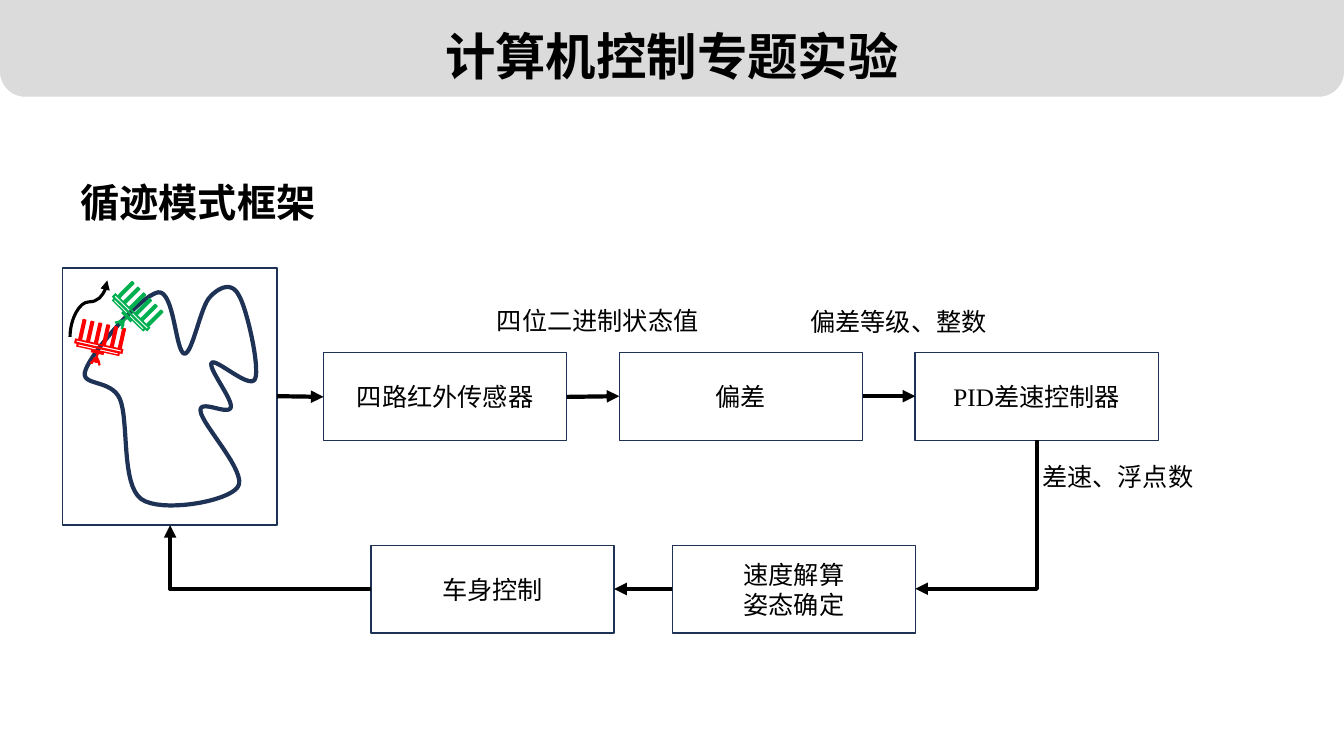
"""Build the slide showing the control loop of the line-following mode."""
import math
from dataclasses import dataclass

from lxml import etree
from pptx import Presentation
from pptx import util as u
from pptx.dml.color import RGBColor
from pptx.enum import shapes, text
from pptx.oxml.ns import qn


@dataclass(frozen=True)
class Theme:
    black: RGBColor = RGBColor(0, 0, 0)
    navy: RGBColor = RGBColor(0x1E, 0x32, 0x56)
    banner: RGBColor = RGBColor(0xDB, 0xDB, 0xDB)
    red: RGBColor = RGBColor(0xFF, 0, 0)
    green: RGBColor = RGBColor(0, 0xB0, 0x50)
    serif: str = "Times New Roman"
    sans: str = "Noto Sans CJK SC"
    title: int = 36
    heading: int = 28
    body: int = 18


theme = Theme()
presentation = Presentation()
presentation.slide_width, presentation.slide_height = u.Pt(960), u.Pt(540)
slide = presentation.slides.add_slide(presentation.slide_layouts[5])
canvas = slide.shapes


def write(shape, lines, size, font, align=text.PP_ALIGN.LEFT, bold=False, spacing=None):
    """Write one run per line into a shape."""
    frame = shape.text_frame
    for number, line in enumerate(lines):
        paragraph = frame.add_paragraph() if number else frame.paragraphs[0]
        paragraph.alignment = align
        paragraph.line_spacing = spacing
        run = paragraph.add_run()
        run.text = line
        run.font.name = font
        run.font.size = u.Pt(size)
        run.font.bold = bold
        run.font.color.rgb = theme.black
        east_asian = etree.SubElement(run.font._element, qn("a:ea"))
        east_asian.set("typeface", theme.sans)


def draw_outline(contours):
    """Draw closed contours, given in points, as one freeform."""
    builder = None
    for contour in contours:
        (x, y), *rest = [(u.Pt(px), u.Pt(py)) for px, py in contour]
        if builder is None:
            builder = canvas.build_freeform(x, y)
        else:
            builder.move_to(x, y)
        builder.add_line_segments(rest, close=True)
    outline = builder.convert_to_shape()
    outline.shadow.inherit = False
    return outline


banner = canvas.add_shape(shapes.MSO_SHAPE.ROUNDED_RECTANGLE,
                          u.Pt(0), u.Pt(-18.7), u.Pt(960), u.Pt(87.8))
banner.adjustments[0] = 0.206
banner.shadow.inherit = False
banner.fill.solid()
banner.fill.fore_color.rgb = theme.banner
banner.line.fill.background()
canvas._spTree.insert(2, banner._element)

title = canvas.title
title.left, title.top, title.width, title.height = u.Pt(296), u.Pt(-3.6), u.Pt(368), u.Pt(64)
title.text_frame.auto_size = text.MSO_AUTO_SIZE.NONE
title.text_frame.vertical_anchor = text.MSO_ANCHOR.MIDDLE
write(title, ["计算机控制专题实验"], theme.title, theme.serif, text.PP_ALIGN.CENTER, True, 1.5)

heading = canvas.add_textbox(u.Pt(50.4), u.Pt(107.3), u.Pt(831.6), u.Pt(51.8))
heading.text_frame.word_wrap = True
write(heading, ["循迹模式框架"], theme.heading, theme.sans, bold=True, spacing=1.5)

row_1, row_2, box_width, box_height = 252, 389.5, 173.7, 62.7
boxes = [
    (44.6, 191.5, 153.4, 183.6, []),
    (231.1, row_1, box_width, box_height, ["四路红外传感器"]),
    (442.4, row_1, box_width, box_height, ["偏差"]),
    (653.7, row_1, box_width, box_height, ["PID差速控制器"]),
    (480.2, row_2, box_width, box_height, ["速度解算", "姿态确定"]),
    (265, row_2, box_width, box_height, ["车身控制"]),
]
for left, top, width, height, lines in boxes:
    box = canvas.add_shape(shapes.MSO_SHAPE.RECTANGLE,
                           u.Pt(left), u.Pt(top), u.Pt(width), u.Pt(height))
    box.shadow.inherit = False
    box.fill.background()
    box.line.color.rgb = theme.navy
    box.line.width = u.Pt(1)
    box.text_frame.vertical_anchor = text.MSO_ANCHOR.MIDDLE
    write(box, lines, theme.body, theme.serif, text.PP_ALIGN.CENTER)

track_start = (143.3, 293.8)
track_curves = [
    ((144, 303.1), (177.1, 337.7), (169.9, 347.8)),
    ((162.7, 358.6), (114.5, 366.5), (100.8, 356.4)),
    ((86.4, 345.6), (92.2, 301), (85.7, 285.1)),
    ((79.2, 270), (56.2, 276.5), (61.2, 264.2)),
    ((65.5, 251.3), (100.8, 211), (113, 208.8)),
    ((124.6, 207.4), (125.3, 252), (131.8, 252.7)),
    ((137.5, 252.7), (143.3, 218.9), (149.8, 212.4)),
    ((156.2, 205.2), (165.6, 200.9), (170.6, 211)),
    ((176.4, 220.3), (185.8, 262.8), (182.2, 270.7)),
    ((178.6, 278.6), (154.1, 255.6), (151.2, 259.2)),
    ((148.3, 262.8), (166.3, 285.1), (164.9, 290.9)),
    ((163.4, 297.4), (141.8, 284.4), track_start),
]
steps = 16
track_points = [track_start]
for curve in track_curves:
    controls = (track_points[-1], *curve)
    for step in range(1, steps + 1):
        t = step / steps
        weights = [math.comb(3, k) * t**k * (1 - t)**(3 - k) for k in range(4)]
        track_points.append(tuple(sum(w * point[axis] for w, point in zip(weights, controls))
                                  for axis in (0, 1)))
track = draw_outline([track_points])
track.fill.background()
track.line.color.rgb = theme.navy
track.line.width = u.Pt(3)

teeth = []
for tooth in range(6):
    x = -15.5 + 5.8 * tooth
    teeth += [(x, -0.4), (x, -14.7), (x + 0.5, -15.2),
              (x + 2.4, -15.2), (x + 2.9, -14.7), (x + 2.9, -0.4)]
car_body = [
    (-17.7, -0.4), *teeth, (17.7, -0.4), (17.7, 3.2), (15.8, 3.2), (15.8, 5.2),
    (4.7, 5.2), (4.7, 6.9), (1.2, 6.9), (1, 9), (3, 11.5), (4.2, 14.2), (3, 15.2),
    (1.9, 13.2), (0.4, 13.5), (-1.1, 13.2), (-1.5, 14.8), (-2.9, 15), (-3.7, 14.4),
    (-2.2, 11.9), (-2, 10.5), (-0.5, 9.4), (-0.3, 6.9), (-4.7, 6.9), (-4.7, 5.2),
    (-15.8, 5.2), (-15.8, 3.2), (-17.7, 3.2),
]
slots = [[(-half, top), (half, top), (half, bottom), (-half, bottom)]
         for half, top, bottom in ((16.2, 0.9, 1.8), (14.4, 3.4, 4.2))]
for center_x, center_y, degrees, color in ((70.9, 245.9, 12.6, theme.red),
                                           (94.7, 222.1, 44.7, theme.green)):
    cosine, sine = math.cos(math.radians(degrees)), math.sin(math.radians(degrees))
    car = draw_outline([[(center_x + x * cosine - y * sine, center_y + x * sine + y * cosine)
                         for x, y in contour] for contour in (car_body, *slots)])
    car.fill.solid()
    car.fill.fore_color.rgb = color
    car.line.fill.background()

connector_types = shapes.MSO_CONNECTOR
arrows = [
    (connector_types.STRAIGHT, (198, 283), (231.1, 283.5), 0, 3),
    (connector_types.STRAIGHT, (404.8, 283.5), (442.4, 283), 0, 3),
    (connector_types.STRAIGHT, (616.1, 283), (653.7, 283), 0, 3),
    (connector_types.STRAIGHT, (480.2, 420.7), (438.7, 420.7), 0, 3),
    (connector_types.ELBOW, (644.2, 324.2), (750.2, 411), 90, 3),
    (connector_types.ELBOW, (121.5, 375.1), (265, 420.7), 180, 3),
    (connector_types.CURVE, (83.5, 233.8), (43.2, 207.2), 90, 2.25),
]
for kind, begin, end, degrees, weight in arrows:
    arrow = canvas.add_connector(kind, *map(u.Pt, begin + end))
    arrow.line.color.rgb = theme.black
    arrow.line.width = u.Pt(weight)
    properties = arrow._element.spPr
    geometry = properties.find(qn("a:prstGeom"))
    if degrees:
        properties.find(qn("a:xfrm")).set("rot", str(degrees * 60000))
    if kind == connector_types.ELBOW:
        geometry.set("prst", "bentConnector2")
    if kind == connector_types.CURVE:
        guide = etree.SubElement(geometry.find(qn("a:avLst")), qn("a:gd"))
        guide.set("name", "adj1")
        guide.set("fmla", "val 62000")
    etree.SubElement(properties.find(qn("a:ln")), qn("a:tailEnd")).set("type", "triangle")
    etree.SubElement(properties, qn("a:effectLst"))

for left, top, width, line in ((347.8, 214.6, 159.8, "四位二进制状态值"),
                               (571.7, 215.3, 141.8, "偏差等级、整数"),
                               (737.3, 326.2, 123.8, "差速、浮点数")):
    label = canvas.add_textbox(u.Pt(left), u.Pt(top), u.Pt(width), u.Pt(29))
    label.text_frame.word_wrap = False
    write(label, [line], theme.body, theme.sans)

presentation.save("out.pptx")
